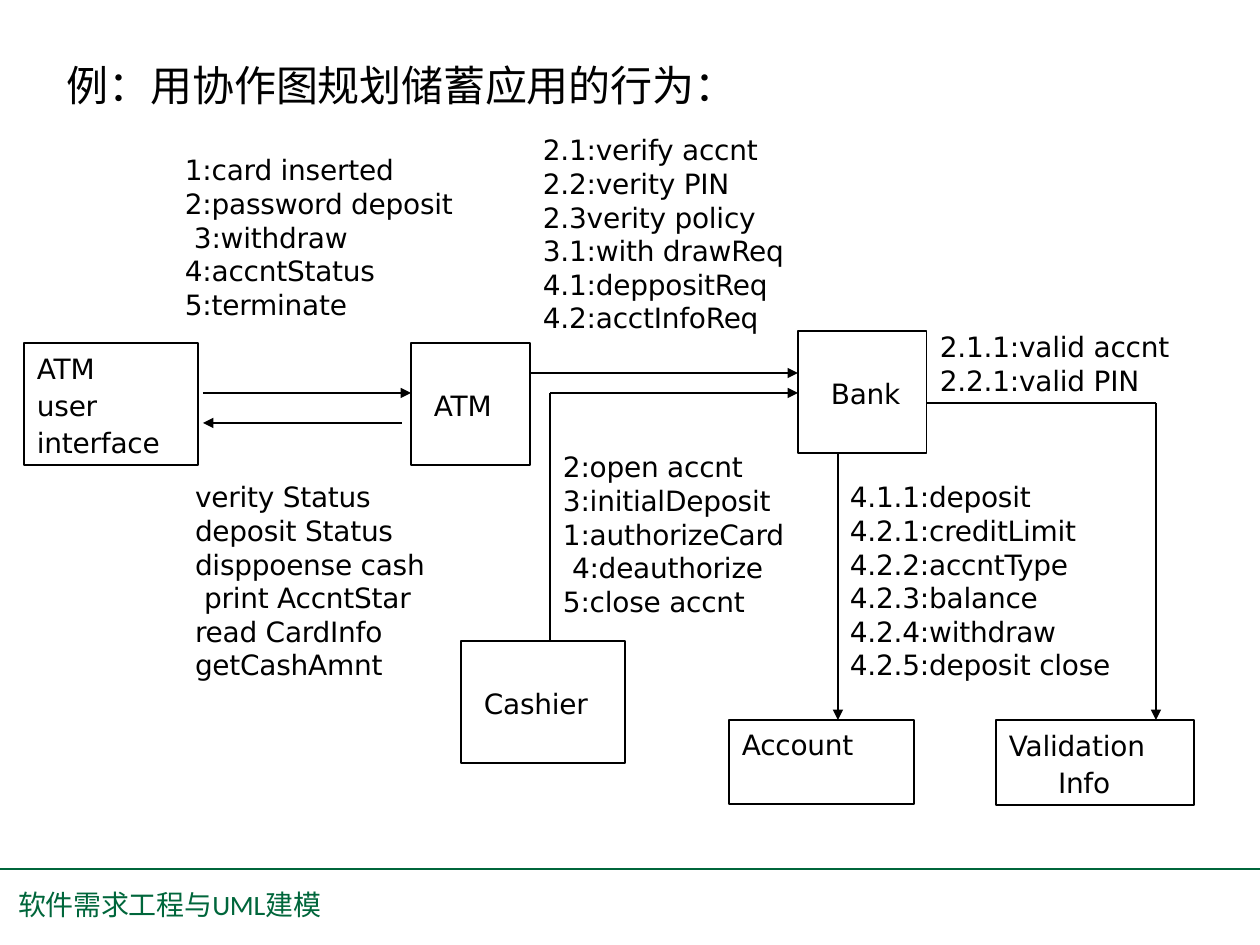
"""Build the collaboration diagram slide for the savings application."""
from lxml import etree
from pptx import Presentation
from pptx.dml.color import RGBColor
from pptx.enum.shapes import MSO_CONNECTOR, MSO_SHAPE
from pptx.enum.text import MSO_ANCHOR, PP_ALIGN
from pptx.oxml.ns import qn
from pptx.util import Emu, Pt

PX = 914400 // 126
STRAIGHT = MSO_CONNECTOR.STRAIGHT
RECTANGLE = MSO_SHAPE.RECTANGLE
TOP, MIDDLE = MSO_ANCHOR.TOP, MSO_ANCHOR.MIDDLE
LEFT = PP_ALIGN.LEFT
COLORS = {"ink": "000000", "green": "00663B"}
CJK_FONT = "Noto Sans CJK SC"


def write_text(shape, lines, size=16, font="DejaVu Sans", color="ink", pitch=19.2,
               gap=0, indents=(), inset=0, top=3, anchor=TOP):
    frame = shape.text_frame
    frame.word_wrap = True
    frame.vertical_anchor = anchor
    frame.margin_left, frame.margin_top = Emu(inset * PX), Emu(top * PX)
    frame.margin_right = frame.margin_bottom = 0
    indents = dict(indents)
    for index, line in enumerate(lines):
        paragraph = frame.add_paragraph() if index else frame.paragraphs[0]
        paragraph.alignment = LEFT
        if pitch:
            paragraph.line_spacing = Pt(pitch)
        if index and gap:
            paragraph.space_before = Pt(gap)
        properties = paragraph._p.get_or_add_pPr()
        properties.set("marL", str(indents.get(index, 1) * PX))
        properties.set("indent", "0")
        run = paragraph.add_run()
        run.text = line
        run.font.size = Pt(size)
        run.font.name = font
        run.font.color.rgb = RGBColor.from_string(COLORS[color])
        run_properties = run._r.get_or_add_rPr()
        run_properties.set("spc", "-10")
        etree.SubElement(run_properties, qn("a:ea")).set("typeface", CJK_FONT)


def add_line(slide, start, end, color="ink", width=1, arrow=False):
    points = [Emu(value * PX) for value in (*start, *end)]
    connector = slide.shapes.add_connector(STRAIGHT, *points)
    connector.line.color.rgb = RGBColor.from_string(COLORS[color])
    connector.line.width = Pt(width)
    if arrow:
        line = connector.line._get_or_add_ln()
        etree.SubElement(line, qn("a:tailEnd")).set("type", "triangle")
    etree.SubElement(connector._element.spPr, qn("a:effectLst"))


presentation = Presentation()
presentation.slide_width = Emu(1260 * PX)
presentation.slide_height = Emu(945 * PX)
slide = presentation.slides.add_slide(presentation.slide_layouts[6])

add_line(slide, (0, 869), (1260, 869), color="green")

labels = [
    ((66, 57, 675, 54), ["例：用协作图规划储蓄应用的行为："],
     {"size": 24, "font": CJK_FONT, "pitch": None}),
    ((184, 150, 278, 171),
     ["1:card inserted", "2:password deposit", "3:withdraw", "4:accntStatus", "5:terminate"],
     {"indents": {2: 10}}),
    ((542, 130, 252, 205),
     ["2.1:verify accnt", "2.2:verity PIN", "2.3verity policy", "3.1:with drawReq",
      "4.1:deppositReq", "4.2:acctInfoReq"], {}),
    ((194, 477, 234, 205),
     ["verity Status", "deposit Status", "disppoense cash", "print AccntStar",
      "read CardInfo", "getCashAmnt"], {"indents": {3: 10}}),
    ((562, 447, 231, 171),
     ["2:open accnt", "3:initialDeposit", "1:authorizeCard", "4:deauthorize", "5:close accnt"],
     {"indents": {3: 10}}),
    ((849, 477, 272, 205),
     ["4.1.1:deposit", "4.2.1:creditLimit", "4.2.2:accntType", "4.2.3:balance",
      "4.2.4:withdraw", "4.2.5:deposit close"], {}),
    ((939, 327, 239, 71), ["2.1.1:valid accnt", "2.2.1:valid PIN"], {}),
    ((17, 891, 309, 34), ["软件需求工程与UML建模"],
     {"font": "Calibri", "color": "green", "pitch": 17, "top": 0}),
]
for bounds, lines, text_format in labels:
    label = slide.shapes.add_textbox(*[Emu(value * PX) for value in bounds])
    write_text(label, lines, **text_format)

boxes = [
    ((24, 343, 174, 122), ["ATM", "user", "interface"], {"inset": 12}),
    ((411, 343, 119, 122), ["ATM"], {"inset": 22}),
    ((798, 331, 129, 122), ["Bank"], {"inset": 32}),
    ((461, 641, 164, 122), ["Cashier"], {"inset": 22}),
    ((729, 720, 185, 84), ["Account"], {"inset": 12, "top": 8, "anchor": TOP}),
    ((996, 720, 198, 85), ["Validation", "Info"], {"inset": 12, "indents": {1: 50}}),
]
for bounds, lines, text_format in boxes:
    box = slide.shapes.add_shape(RECTANGLE, *[Emu(value * PX) for value in bounds])
    box.shadow.inherit = False
    box.fill.background()
    box.line.color.rgb = RGBColor.from_string(COLORS["ink"])
    box.line.width = Pt(0.75)
    write_text(box, lines, **{"anchor": MIDDLE, "gap": 1.9, **text_format})

for start, end in [((927, 403), (1156, 403)), ((550, 641), (550, 393))]:
    add_line(slide, start, end, width=0.75)

arrows = [
    ((1156, 403), (1156, 720)),
    ((838, 453), (838, 720)),
    ((550, 393), (798, 393)),
    ((530, 373), (798, 373)),
    ((203, 393), (411, 393)),
    ((402, 423), (203, 423)),
]
for start, end in arrows:
    add_line(slide, start, end, arrow=True)

presentation.save("out.pptx")
